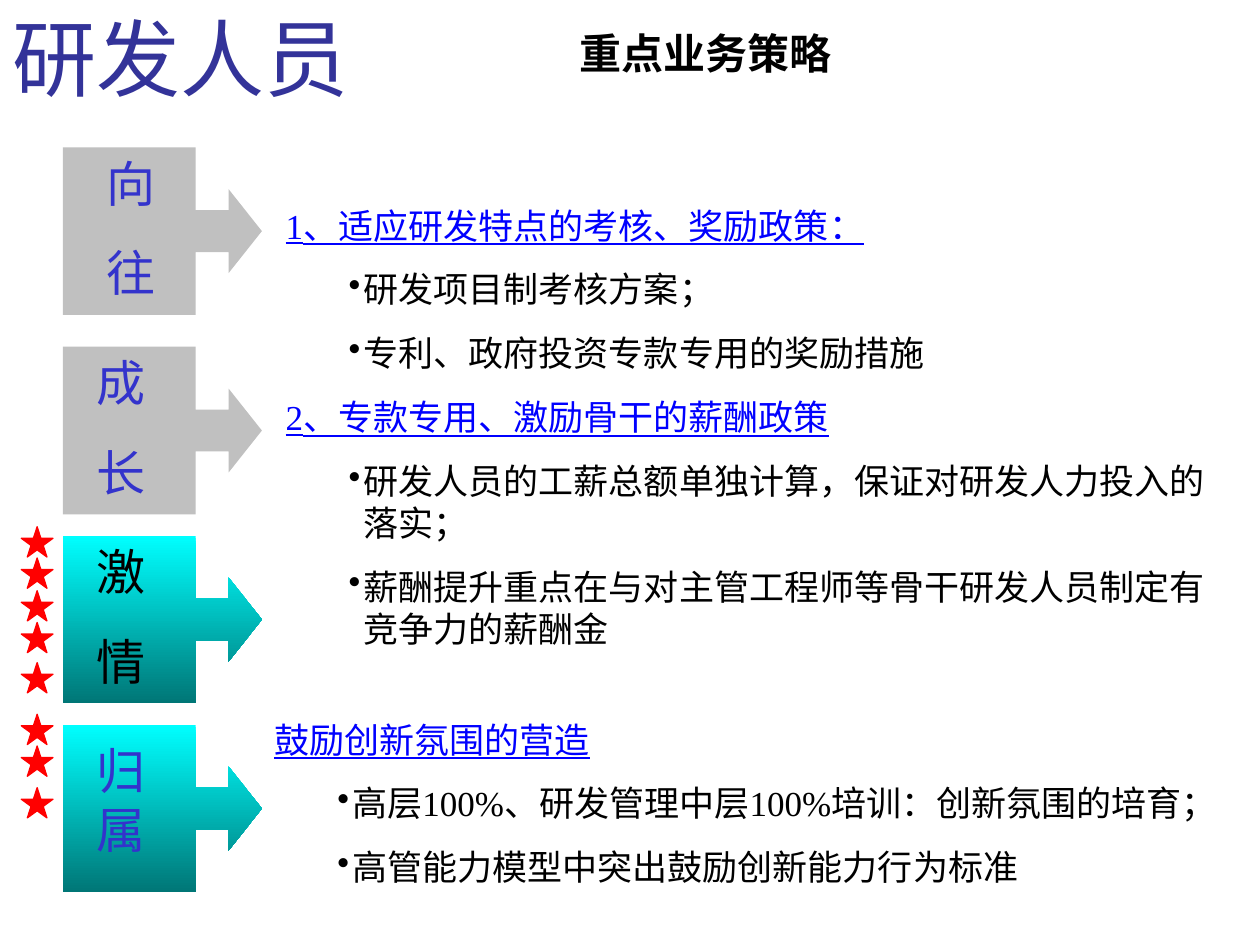
from lxml.etree import SubElement
from pptx import Presentation
from pptx.dml.color import RGBColor as Rgb
from pptx.enum.shapes import MSO_SHAPE as Shape
from pptx.enum.text import MSO_ANCHOR as Anchor
from pptx.oxml.ns import qn
from pptx.util import Cm, Pt

THEME = {
    "font": "Times New Roman", "title_font": "Cabin",
    "title": "333399", "label": "3333CC", "text": "000000", "link": "0000FF",
    "grey": "C0C0C0", "gradient": ("00FFFF", "007676"), "star": "FF0000",
    "title_size": 48, "heading_size": 24, "label_size": 28, "body_size": 20,
}

# Stages: callout top, highlighted, label lines, label left, top, height, colour
STAGES = [
    (2.97, False, ["向", "往"], 1.9, 2.97, 3.25, "label"),
    (6.99, False, ["成", "长"], 1.7, 6.99, 3.25, "label"),
    (10.8, True, ["激", "情"], 1.7, 10.8, 3.25, "text"),
    (14.61, True, ["归属"], 1.7, 14.81, 2.64, "label"),
]
STAR_TOPS = [10.62, 11.25, 11.91, 12.55, 13.36, 14.4, 15.04, 15.88]

# Policies: box left, top, width, height, then (is heading, text)
POLICIES = [
    ((5.51, 3.99, 19.25, 11.81), [
        (True, "1、适应研发特点的考核、奖励政策："),
        (False, "研发项目制考核方案；"),
        (False, "专利、政府投资专款专用的奖励措施"),
        (True, "2、专款专用、激励骨干的薪酬政策"),
        (False, "研发人员的工薪总额单独计算，保证对研发人力投入的落实；"),
        (False, "薪酬提升重点在与对主管工程师等骨干研发人员制定有竞争力的薪酬金"),
    ]),
    ((5.28, 14.35, 19.25, 9.68), [
        (True, "鼓励创新氛围的营造"),
        (False, "高层100%、研发管理中层100%培训：创新氛围的培育；"),
        (False, "高管能力模型中突出鼓励创新能力行为标准"),
    ]),
]


def color(name):
    return Rgb.from_string(THEME[name])


def add_shape(slide, preset, *box):
    shape = slide.shapes.add_shape(preset, *map(Cm, box))
    shape.shadow.inherit = False
    return shape


def add_text(slide, box, lines, space=0):
    """Add a wrapped text box and return its frame and paragraphs."""
    frame = slide.shapes.add_textbox(*map(Cm, box)).text_frame
    frame.word_wrap = True
    paragraphs = []
    for index, line in enumerate(lines):
        paragraph = frame.add_paragraph() if index else frame.paragraphs[0]
        paragraph.text = line
        paragraph.space_before = Pt(space if index else 0)
        paragraphs.append(paragraph)
    return frame, paragraphs


def set_font(paragraph, size, color_name, font="font"):
    paragraph.font.name = THEME[font]
    paragraph.font.size = Pt(THEME[size])
    paragraph.font.color.rgb = color(color_name)


def set_indent(paragraph, left, hanging, bullet=False):
    properties = paragraph._p.get_or_add_pPr()
    properties.set("marL", str(Cm(left)))
    properties.set("indent", str(-Cm(hanging)))
    if bullet:
        bullet_color = SubElement(properties, qn("a:buClr"))
        SubElement(bullet_color, qn("a:srgbClr"), val=THEME["text"])
        SubElement(properties, qn("a:buChar"), char="•")


presentation = Presentation()
presentation.slide_width, presentation.slide_height = Cm(25.4), Cm(19.05)
slide = presentation.slides.add_slide(presentation.slide_layouts[6])

# Title and heading
_, (title,) = add_text(slide, (0, 0, 24.64, 1.55), ["研发人员"])
set_font(title, "title_size", "title", "title_font")
frame, (heading,) = add_text(slide, (11.43, 0, 17.15, 2.11), ["重点业务策略"])
frame.vertical_anchor = Anchor.MIDDLE
set_font(heading, "heading_size", "text")
heading.font.bold = True

# Stage callouts with their labels
for top, highlighted, lines, left, label_top, height, label_color in STAGES:
    callout = add_shape(slide, Shape.RIGHT_ARROW_CALLOUT, 1.27, top, 4.01, 3.38)
    for index, value in enumerate((0.25, 0.25, 0.198, 0.667)):
        callout.adjustments[index] = value
    callout.line.fill.background()
    if highlighted:
        callout.fill.gradient()
        callout.fill.gradient_angle = 270
        for stop, value in zip(callout.fill.gradient_stops, THEME["gradient"]):
            stop.color.rgb = Rgb.from_string(value)
    else:
        callout.fill.solid()
        callout.fill.fore_color.rgb = color("grey")
    _, paragraphs = add_text(slide, (left, label_top, 1.9, height), lines, 17.5)
    for paragraph in paragraphs:
        set_font(paragraph, "label_size", label_color)

# Rating stars
for top in STAR_TOPS:
    star = add_shape(slide, Shape.STAR_5_POINT, 0.43, top, 0.64, 0.61)
    star.fill.solid()
    star.fill.fore_color.rgb = color("star")
    star.line.color.rgb = color("star")
    star.line.width = Pt(0.75)

# Policy lists
for box, items in POLICIES:
    _, paragraphs = add_text(slide, box, [text for _, text in items], 12.5)
    for paragraph, (is_heading, _) in zip(paragraphs, items):
        if is_heading:
            set_indent(paragraph, 0.28, 0.28)
        else:
            paragraph.level = 1
            set_indent(paragraph, 1.57, 0.3, bullet=True)
        set_font(paragraph, "body_size", "link" if is_heading else "text")
        paragraph.font.underline = is_heading

presentation.save("out.pptx")
